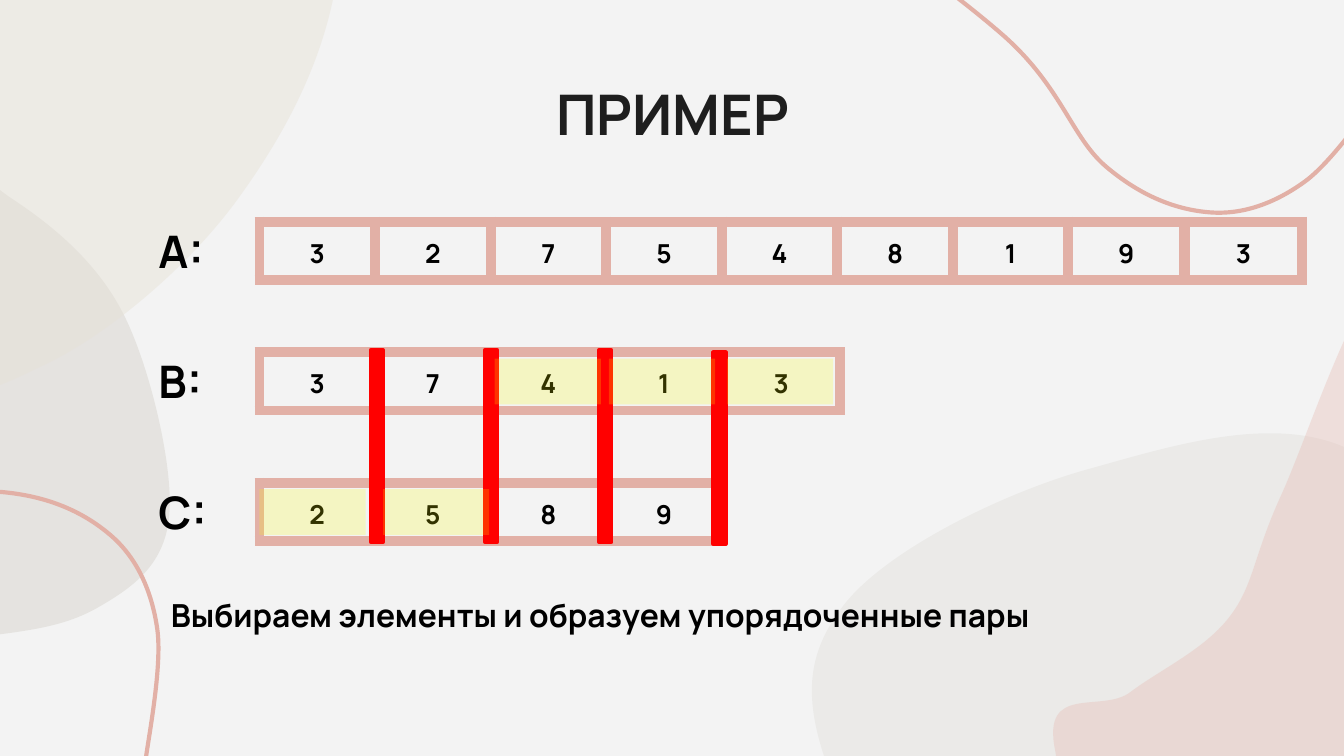
from lxml.etree import SubElement
from pptx import Presentation
from pptx.dml.color import RGBColor
from pptx.enum.shapes import MSO_SHAPE
from pptx.enum.text import MSO_ANCHOR, PP_ALIGN
from pptx.oxml import parse_xml
from pptx.oxml.ns import nsdecls, qn
from pptx.util import Pt

COLORS = {
    "page": "F3F3F3", "ink": "000000", "title": "1E1E1E", "border": "E2B0A6",
    "olive": "887C62", "pink": "E6B8AF", "sand": "E7E2D6",
    "red": "FF0000", "yellow": "FCFF00",
}
FONT = "Manrope"
MARGIN = 7.2
CELL_WIDTH, CELL_HEIGHT = 61.92, 31
ROW_LEFT, ROW_TOP, ROW_STEP = 139, 118.8, 69.9
TAIL_WIDTH = 62.6
CURVE_UNIT = Pt(0.72)

# Points that each smooth outline passes through, in curve units.
BLOBS = [
    ("olive", 7, [(810, 349), (1020, 344), (1153, 598), (1087, 731), (782, 826),
                  (623, 589), (628, 450)]),
    ("olive", 13, [(-99, 110), (-325, 281), (-491, 354), (-273, 494), (-41, 477),
                   (73, 452), (126, 383), (93, 236), (9, 148)]),
    ("pink", 34, [(902, 817), (785, 558), (841, 515), (914, 460), (953, 369),
                  (1042, 183), (1182, 121), (1342, 267), (1471, 649)]),
    ("sand", 46, [(34, 271), (-100, 281), (-414, 144), (-713, 131), (-462, -213),
                  (215, -281), (253, -36), (177, 148)]),
]
WAVES = [
    [(301, -395), (386, -154), (552, -107), (745, 25), (823, 124), (900, 158),
     (971, 135), (1033, 62)],
    [(-771, 358), (-530, 244), (-372, 333), (-131, 380), (0, 366), (82, 398),
     (117, 468), (108, 568)],
]


def spline(points, closed):
    """Return two control points and an end point for each smooth piece."""
    if closed:
        chain = [points[-1], *points, *points[:2]]
    else:
        chain = [points[0], *points, points[-1]]
    pieces = []
    for before, start, end, after in zip(chain, chain[1:], chain[2:], chain[3:]):
        leave = tuple(s + (e - b) / 6 for b, s, e in zip(before, start, end))
        arrive = tuple(e - (a - s) / 6 for s, e, a in zip(start, end, after))
        pieces.append((leave, arrive, end))
    return pieces


class SlideBuilder:
    """Holds the style and the slide being drawn."""

    def __init__(self, page):
        self.page = page
        page.background.fill.solid()
        page.background.fill.fore_color.rgb = self.color("page")

    def color(self, name):
        return RGBColor.from_string(COLORS[name])

    def paint(self, shape, fill=None, opacity=100, line=None):
        shape.shadow.inherit = False
        if fill:
            shape.fill.solid()
            shape.fill.fore_color.rgb = self.color(fill)
            if opacity < 100:
                tint = shape.fill._xPr.find(qn("a:solidFill"))[0]
                SubElement(tint, qn("a:alpha")).set("val", str(opacity * 1000))
        else:
            shape.fill.background()
        if line:
            shape.line.color.rgb = self.color(line)
            shape.line.width = Pt(2.25)
        else:
            shape.line.fill.background()

    def curve(self, points, closed=False, **style):
        """Build an outline of line triples, then turn each triple into one curve."""
        pieces = spline(points, closed)
        outline = self.page.shapes.build_freeform(*points[0], scale=CURVE_UNIT)
        for piece in pieces:
            outline.add_line_segments(piece, close=closed and piece is pieces[-1])
        shape = outline.convert_to_shape()
        lines = list(shape._element.iter(qn("a:lnTo")))
        for index in range(len(pieces)):
            trio = lines[3 * index:3 * index + 3]
            bend = parse_xml(f"<a:cubicBezTo {nsdecls('a')}/>")
            trio[0].addprevious(bend)
            for line in trio:
                bend.append(line[0])
                line.getparent().remove(line)
        self.paint(shape, **style)

    def format_text(self, frame, text, size, color="ink", align=PP_ALIGN.LEFT):
        frame.text = text
        paragraph = frame.paragraphs[0]
        paragraph.alignment = align
        font = paragraph.runs[0].font
        font.name, font.size, font.bold = FONT, Pt(size), True
        font.color.rgb = self.color(color)

    def text(self, text, left, top, width, height, size, indent=0,
             anchor=MSO_ANCHOR.TOP, **style):
        box = self.page.shapes.add_textbox(Pt(left), Pt(top), Pt(width), Pt(height))
        frame = box.text_frame
        frame.word_wrap = True
        frame.vertical_anchor = anchor
        frame.margin_left = Pt(MARGIN + indent)
        frame.margin_right = frame.margin_top = frame.margin_bottom = Pt(MARGIN)
        self.format_text(frame, text, size, **style)

    def rectangle(self, left, top, width, height, **style):
        shape = self.page.shapes.add_shape(
            MSO_SHAPE.RECTANGLE, Pt(left), Pt(top), Pt(width), Pt(height))
        self.paint(shape, **style)

    def number_row(self, values, left, top, cell_width):
        table = self.page.shapes.add_table(
            1, len(values), Pt(left), Pt(top),
            Pt(cell_width * len(values)), Pt(CELL_HEIGHT)).table
        table.first_row = table.horz_banding = False
        for column, cell, value in zip(table.columns, table.iter_cells(), values):
            column.width = Pt(cell_width)
            cell.margin_left = cell.margin_right = Pt(MARGIN)
            cell.margin_top = cell.margin_bottom = Pt(MARGIN)
            self.format_text(cell.text_frame, value, 14, align=PP_ALIGN.CENTER)
            cell.fill.background()
            self.cell_borders(cell)

    def cell_borders(self, cell):
        properties = cell._tc.get_or_add_tcPr()
        for index, side in enumerate(("lnL", "lnR", "lnT", "lnB")):
            properties.insert(index, parse_xml(
                f'<a:{side} {nsdecls("a")} w="{Pt(6)}"><a:solidFill>'
                f'<a:srgbClr val="{COLORS["border"]}"/></a:solidFill></a:{side}>'))


def main():
    deck = Presentation()
    deck.slide_width, deck.slide_height = Pt(720), Pt(405)
    slide = SlideBuilder(deck.slides.add_slide(deck.slide_layouts[6]))

    for fill, opacity, points in BLOBS:
        slide.curve(points, closed=True, fill=fill, opacity=opacity)
    for points in WAVES:
        slide.curve(points, line="border")

    slide.text("ПРИМЕР", 57, 34.6, 607, 51.8, 30, color="title",
               align=PP_ALIGN.CENTER, anchor=MSO_ANCHOR.MIDDLE)
    slide.text("Выбираем элементы и образуем упорядоченные пары",
               77.8, 311.8, 508, 35.3, 17, indent=6.5)

    row_a, row_b, row_c = (ROW_TOP + ROW_STEP * row for row in range(3))
    # Each row: label, top, its main cells, and the cells of a separate last table.
    rows = [("А:", row_a, "32754819", "3"), ("B:", row_b, "3741", "3"), ("C:", row_c, "2589", "")]
    for label, top, values, tail in rows:
        slide.text(label, 77.8, top - 6.4, 42.5, 43.9, 24)
        slide.number_row(values, ROW_LEFT, top, CELL_WIDTH)
        if tail:
            tail_left = ROW_LEFT + CELL_WIDTH * len(values) + 0.5
            slide.number_row(tail, tail_left, top, TAIL_WIDTH)

    for bar in range(4):
        top = row_b if bar == 3 else row_b - 1.2
        slide.rectangle(198.7 + 61.2 * bar, top, 6.4, 103, fill="red", line="red")

    highlights = [(139, row_c), (205.2, row_c), (265, row_b), (326.2, row_b), (389.5, row_b)]
    for left, top in highlights:
        slide.rectangle(left, top + 3.5, 56.9, 24.5, fill="yellow", opacity=20)

    deck.save("out.pptx")


if __name__ == "__main__":
    main()
